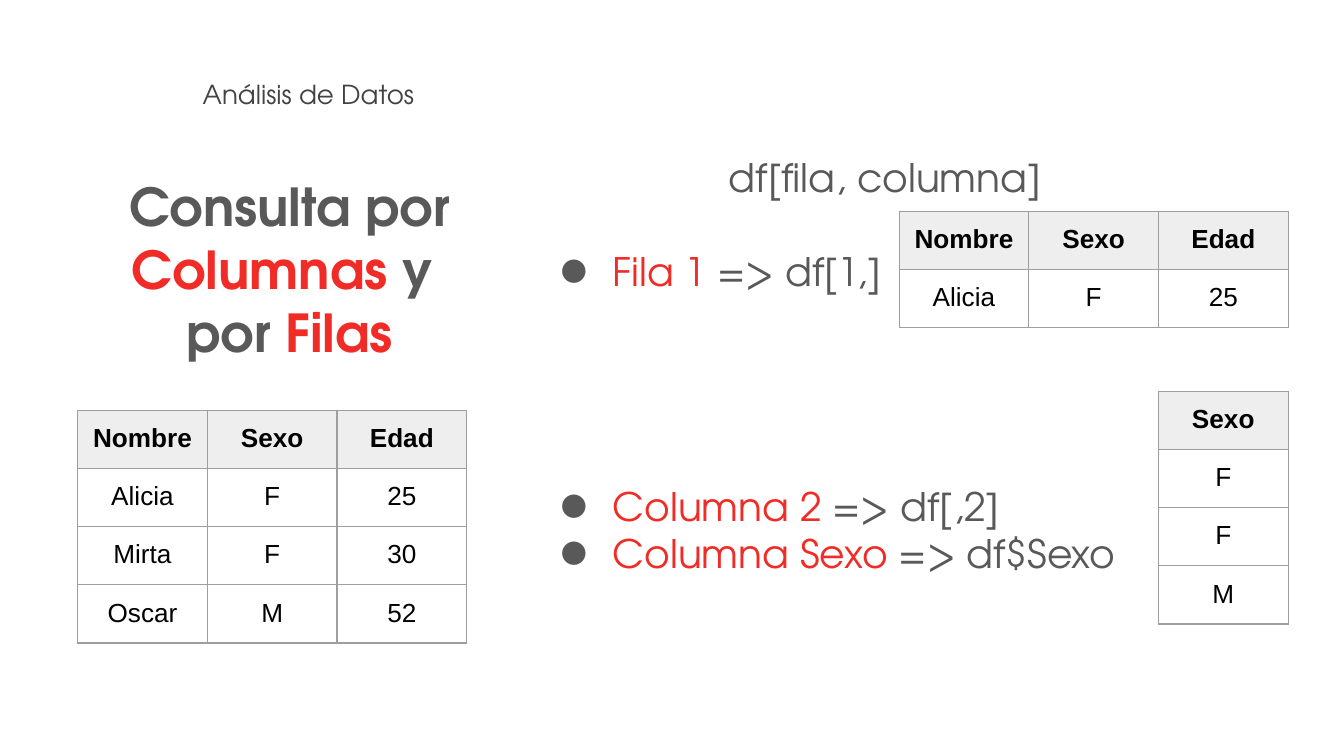
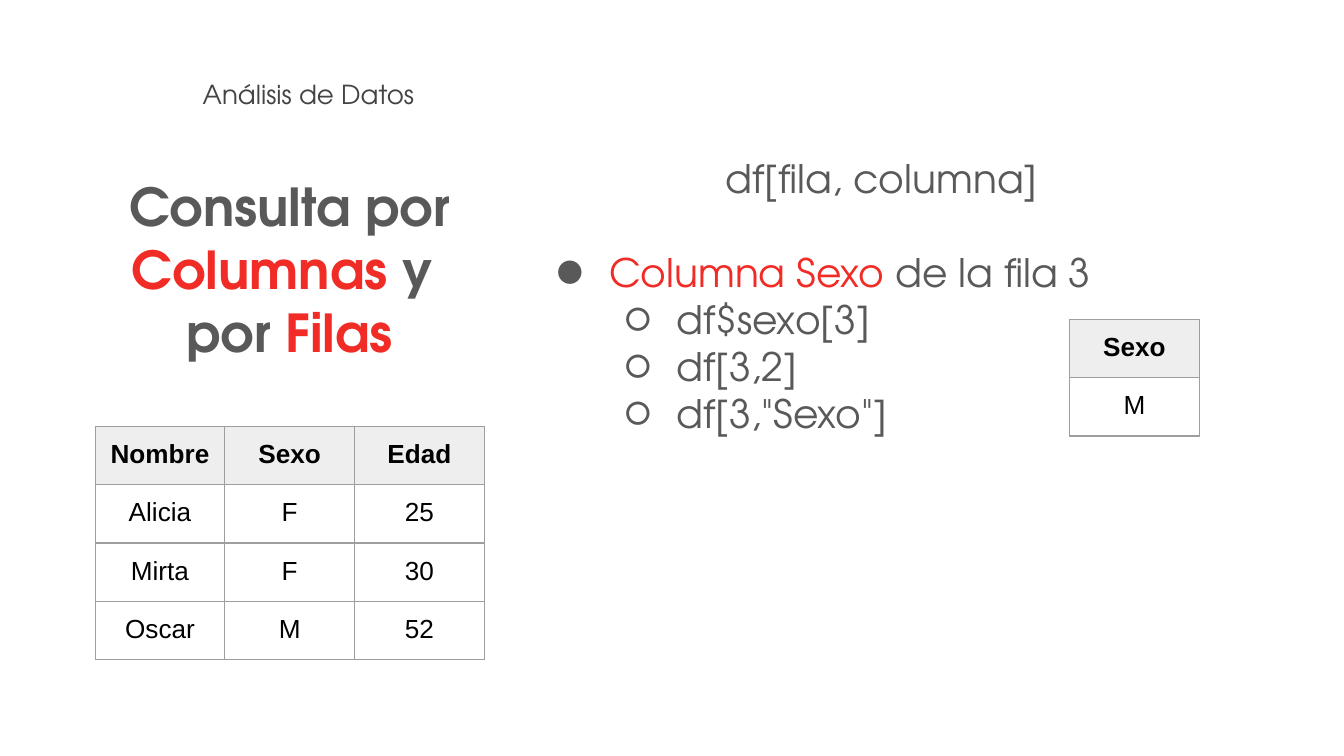
from lxml import etree
from pptx import Presentation
from pptx import util as u
from pptx.dml.color import RGBColor
from pptx.enum import text as t
from pptx.oxml import ns

Pt = u.Pt
GRAY = RGBColor(0x59, 0x59, 0x59)
DARK = RGBColor(0x43, 0x43, 0x43)
RED = RGBColor(0xF1, 0x2B, 0x26)
BLACK = RGBColor(0, 0, 0)
HEAD = RGBColor(0xEE, 0xEE, 0xEE)
EDGE = RGBColor(0x9E, 0x9E, 0x9E)
FONT = "TeX Gyre Adventor"
PAD, STEP = 7.2, 25.2
COL, ROW = 69.5, 31.2
DATA = [
    ["Nombre", "Sexo", "Edad"],
    ["Alicia", "F", "25"],
    ["Mirta", "F", "30"],
    ["Oscar", "M", "52"],
]
TITLE = [
    [("Consulta por ", GRAY), ("Columnas", RED), (" y ", GRAY)],
    [("por ", GRAY), ("Filas", RED)],
]


def add_run(para, words, size, color, font=FONT, bold=False):
    """Append one styled run to a paragraph."""
    run = para.add_run()
    run.text = words
    run.font.name, run.font.size, run.font.bold = font, Pt(size), bold
    run.font.color.rgb = color


def set_frame(shape):
    """Give a text shape its padding, wrap and top anchor, and return its frame."""
    frame = shape.text_frame
    frame.margin_left = frame.margin_right = Pt(PAD)
    frame.margin_top = frame.margin_bottom = Pt(PAD)
    frame.word_wrap = True
    frame.auto_size = t.MSO_AUTO_SIZE.NONE
    frame.vertical_anchor = t.MSO_ANCHOR.TOP
    return frame


def add_box(slide, box):
    """Add an empty text box and return its frame."""
    return set_frame(slide.shapes.add_textbox(*map(Pt, box)))


def next_para(frame, index):
    """Return the first paragraph, or a new one after it."""
    return frame.add_paragraph() if index else frame.paragraphs[0]


def set_bullet(para, level):
    """Indent a paragraph and mark it with the bullet of its level."""
    props = para._p.get_or_add_pPr()
    props.set("marL", str(Pt(36 * (level + 1))))
    props.set("indent", str(Pt(-28.5)))
    para.level = level
    tint = etree.SubElement(props, ns.qn("a:buClr"))
    etree.SubElement(tint, ns.qn("a:srgbClr"), val=str(GRAY))
    etree.SubElement(props, ns.qn("a:buFont"), typeface=FONT)
    etree.SubElement(props, ns.qn("a:buChar"), char="●○"[level])


def add_title(slide, box):
    """Place and fill the two-colour title."""
    title = slide.shapes.title
    title.left, title.top, title.width, title.height = map(Pt, box)
    frame = set_frame(title)
    for i, parts in enumerate(TITLE):
        para = next_para(frame, i)
        para.alignment, para.line_spacing = t.PP_ALIGN.CENTER, 1.0
        para.space_before = Pt(0)
        for words, color in parts:
            add_run(para, words, 28, color, bold=True)


def add_list(slide, box, items):
    """Write the syntax line, then bullets given as level, lines skipped, red and gray text."""
    frame = add_box(slide, box)
    para = frame.paragraphs[0]
    para.alignment = t.PP_ALIGN.CENTER
    add_run(para, "df[fila, columna]", 21, GRAY)
    for level, skip, key, code in items:
        para = frame.add_paragraph()
        set_bullet(para, level)
        para.space_before = Pt(skip * STEP)
        if key:
            add_run(para, key, 21, RED)
        add_run(para, code, 21, GRAY)


def set_edges(cell):
    """Draw a thin line on the four sides of a cell."""
    props = cell._tc.get_or_add_tcPr()
    for i, side in enumerate("LRTB"):
        line = etree.Element(ns.qn("a:ln" + side), w=str(Pt(0.75)))
        fill = etree.SubElement(line, ns.qn("a:solidFill"))
        etree.SubElement(fill, ns.qn("a:srgbClr"), val=str(EDGE))
        props.insert(i, line)


def add_grid(slide, left, top, rows):
    """Add a table with a shaded header row."""
    wide, high = len(rows[0]), len(rows)
    box = map(Pt, (left, top, COL * wide, ROW * high))
    table = slide.shapes.add_table(high, wide, *box).table
    table.horz_banding = False
    for col in table.columns:
        col.width = Pt(COL)
    for r, row in enumerate(rows):
        table.rows[r].height = Pt(ROW)
        for c, words in enumerate(row):
            cell = table.cell(r, c)
            cell.margin_left = cell.margin_right = Pt(PAD)
            cell.margin_top = cell.margin_bottom = Pt(PAD)
            if r == 0:
                cell.fill.solid()
                cell.fill.fore_color.rgb = HEAD
            else:
                cell.fill.background()
            set_edges(cell)
            para = cell.text_frame.paragraphs[0]
            para.alignment = t.PP_ALIGN.CENTER
            add_run(para, words, 14, BLACK, "Arial", r == 0)


def add_page(deck, left, top):
    """Start a slide with its heading, title and data table."""
    slide = deck.slides.add_slide(deck.slide_layouts[5])
    head = add_box(slide, (101.5, 34.6, 268.6, 25.2))
    add_run(head.paragraphs[0], "Análisis de Datos", 14, DARK)
    add_title(slide, (55.4, 86.4, 199.4, 116.6))
    add_grid(slide, left, top, DATA)
    return slide


def add_query(deck):
    """Build the slide on whole rows and columns."""
    slide = add_page(deck, 41.6, 219.8)
    add_list(slide, (285.1, 74.9, 378, 295.9), [
        (0, 1, "Fila 1 ", "=> df[1,]"),
        (0, 4, "Columna 2", " => df[,2]"),
        (0, 0, "Columna Sexo", " => df$Sexo"),
    ])
    add_grid(slide, 481.7, 113.2, DATA[:2])
    add_grid(slide, 620.6, 209.6, [row[1:2] for row in DATA])


def add_cell(deck):
    """Build the slide on a single value."""
    slide = add_page(deck, 51, 228.5)
    add_list(slide, (283.2, 75.6, 378, 167), [
        (0, 1, "Columna Sexo", " de la fila 3"),
        (1, 0, "", "df$sexo[3]"),
        (1, 0, "", "df[3,2]"),
        (1, 0, "", 'df[3,"Sexo"]'),
    ])
    add_grid(slide, 573, 171.2, [DATA[i][1:2] for i in (0, 3)])


def main():
    """Build and save the deck."""
    deck = Presentation()
    deck.slide_width, deck.slide_height = Pt(720), Pt(405)
    add_query(deck)
    add_cell(deck)
    deck.save("out.pptx")


if __name__ == "__main__":
    main()
